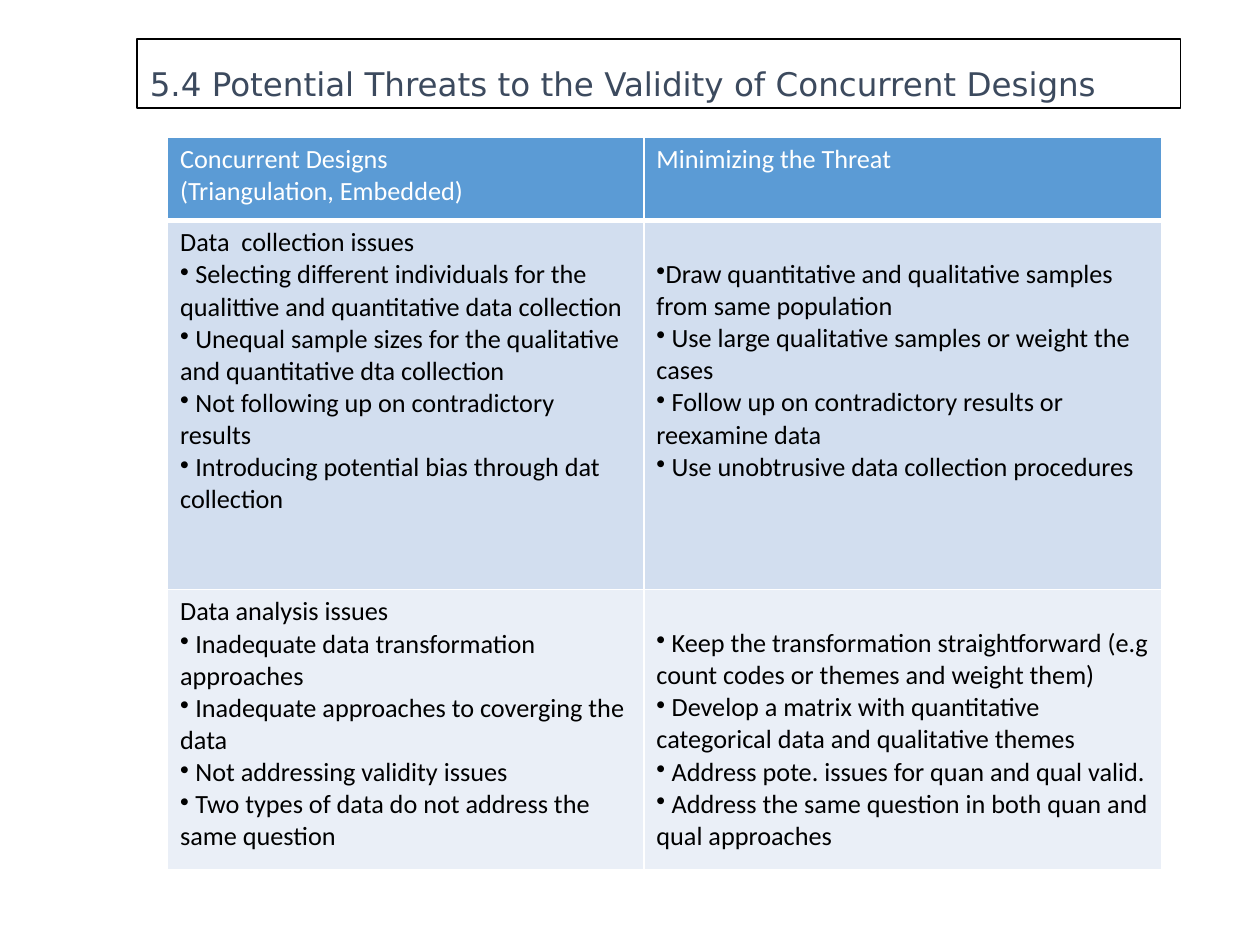
import pptx
import pptx.util
import pptx.dml.color
import pptx.enum.shapes
import pptx.enum.text
import pptx.oxml.ns
from lxml import etree

Inches, Pt = pptx.util.Inches, pptx.util.Pt
RGBColor = pptx.dml.color.RGBColor

WHITE = RGBColor(0xFF, 0xFF, 0xFF)
BLACK = RGBColor(0x00, 0x00, 0x00)
SLATE = RGBColor(0x3C, 0x4A, 0x5E)
HEADER_BLUE = RGBColor(0x5B, 0x9B, 0xD5)
BAND_DARK = RGBColor(0xD2, 0xDE, 0xEF)
BAND_LIGHT = RGBColor(0xEA, 0xEF, 0xF7)

TITLE = "5.4 Potential Threats to the Validity of Concurrent Designs"
HEADERS = [["Concurrent Designs", "(Triangulation, Embedded)"],
           ["Minimizing the Threat"]]

# Each issue: heading, threats, ways to minimize them
ISSUES = [
    ("Data  collection issues",
     [" Selecting different individuals for the qualittive and quantitative data collection",
      " Unequal sample sizes for the qualitative and quantitative dta collection",
      " Not following up on contradictory results",
      " Introducing potential bias through dat collection"],
     ["Draw quantitative and qualitative samples from same population",
      " Use large qualitative samples or weight the cases",
      " Follow up on contradictory results or reexamine data",
      " Use unobtrusive data collection procedures"]),
    ("Data analysis issues",
     [" Inadequate data transformation approaches",
      " Inadequate approaches to coverging the data",
      " Not addressing validity issues",
      " Two types of data do not address the same question"],
     [" Keep the transformation straightforward (e.g count codes or themes and weight them)",
      " Develop a matrix with quantitative categorical data and qualitative themes",
      " Address pote. issues for quan and qual valid.",
      " Address the same question in both quan and qual approaches"]),
]
COLUMN_WIDTHS = [3.78, 4.11]
ROW_HEIGHTS = [0.66, 2.93, 2.22]
CELL_FONT = {"name": "Calibri", "size": Pt(15), "bold": False}
TITLE_FONT = {"name": "DejaVu Sans", "size": Pt(18.6)}
# Top margin that starts the remedies one text line below the issue heading
REMEDY_TOP = Inches(0.3)


def apply_format(target, values):
    for attribute, value in values.items():
        setattr(target, attribute, value)


def write_run(paragraph, text, font, color):
    run = paragraph.add_run()
    run.text = text
    apply_format(run.font, font)
    run.font.color.rgb = color


def add_bullet(paragraph):
    properties = paragraph._p.get_or_add_pPr()
    properties.set("marL", "0")
    properties.set("indent", "0")
    bullet = etree.SubElement(properties, pptx.oxml.ns.qn("a:buChar"))
    bullet.set("char", "•")


def set_borders(cell, bottom_width):
    properties = cell._tc.get_or_add_tcPr()
    for side, width in zip("LRTB", (1, 1, 1, bottom_width)):
        line = etree.SubElement(properties, pptx.oxml.ns.qn(f"a:ln{side}"))
        line.set("w", str(Pt(width)))
        fill = etree.SubElement(line, pptx.oxml.ns.qn("a:solidFill"))
        etree.SubElement(fill, pptx.oxml.ns.qn("a:srgbClr")).set("val", str(WHITE))


def fill_cell(cell, fill, color, plain=(), bullets=(), bottom_width=1):
    set_borders(cell, bottom_width)
    cell.fill.solid()
    cell.fill.fore_color.rgb = fill
    lines = [(text, False) for text in plain] + [(text, True) for text in bullets]
    for index, (text, bulleted) in enumerate(lines):
        frame = cell.text_frame
        paragraph = frame.add_paragraph() if index else frame.paragraphs[0]
        if bulleted:
            add_bullet(paragraph)
        write_run(paragraph, text, CELL_FONT, color)


def add_threat_table(slide):
    table = slide.shapes.add_table(
        len(ROW_HEIGHTS), len(COLUMN_WIDTHS), Inches(1.33), Inches(1.09),
        Inches(sum(COLUMN_WIDTHS)), Inches(sum(ROW_HEIGHTS))).table
    for column, width in zip(table.columns, COLUMN_WIDTHS):
        column.width = Inches(width)
    for row, height in zip(table.rows, ROW_HEIGHTS):
        row.height = Inches(height)

    # Header row
    for column, lines in enumerate(HEADERS):
        fill_cell(table.cell(0, column), HEADER_BLUE, WHITE, plain=lines, bottom_width=3)

    # Issue rows: threats on the left, remedies on the right
    bands = (BAND_DARK, BAND_LIGHT)
    for row, (band, (heading, threats, remedies)) in enumerate(zip(bands, ISSUES), start=1):
        fill_cell(table.cell(row, 0), band, BLACK, [heading], threats)
        remedy_cell = table.cell(row, 1)
        fill_cell(remedy_cell, band, BLACK, bullets=remedies)
        remedy_cell.margin_top = REMEDY_TOP


def add_title(slide):
    title = slide.shapes.add_shape(
        pptx.enum.shapes.MSO_SHAPE.RECTANGLE,
        Inches(1.09), Inches(0.31), Inches(8.28), Inches(0.55))
    title.shadow.inherit = False
    title.fill.solid()
    title.fill.fore_color.rgb = WHITE
    title.line.color.rgb = BLACK
    title.line.width = Pt(1)
    apply_format(title.text_frame, {
        "word_wrap": True,
        "vertical_anchor": pptx.enum.text.MSO_ANCHOR.BOTTOM})
    paragraph = title.text_frame.paragraphs[0]
    apply_format(paragraph, {
        "alignment": pptx.enum.text.PP_ALIGN.LEFT,
        "line_spacing": 0.7})
    write_run(paragraph, TITLE, TITLE_FONT, SLATE)


def main():
    presentation = pptx.Presentation()
    presentation.slide_width = Inches(10)
    presentation.slide_height = Inches(7.5)
    slide = presentation.slides.add_slide(presentation.slide_layouts[6])
    add_threat_table(slide)
    add_title(slide)
    presentation.save("out.pptx")


if __name__ == "__main__":
    main()
